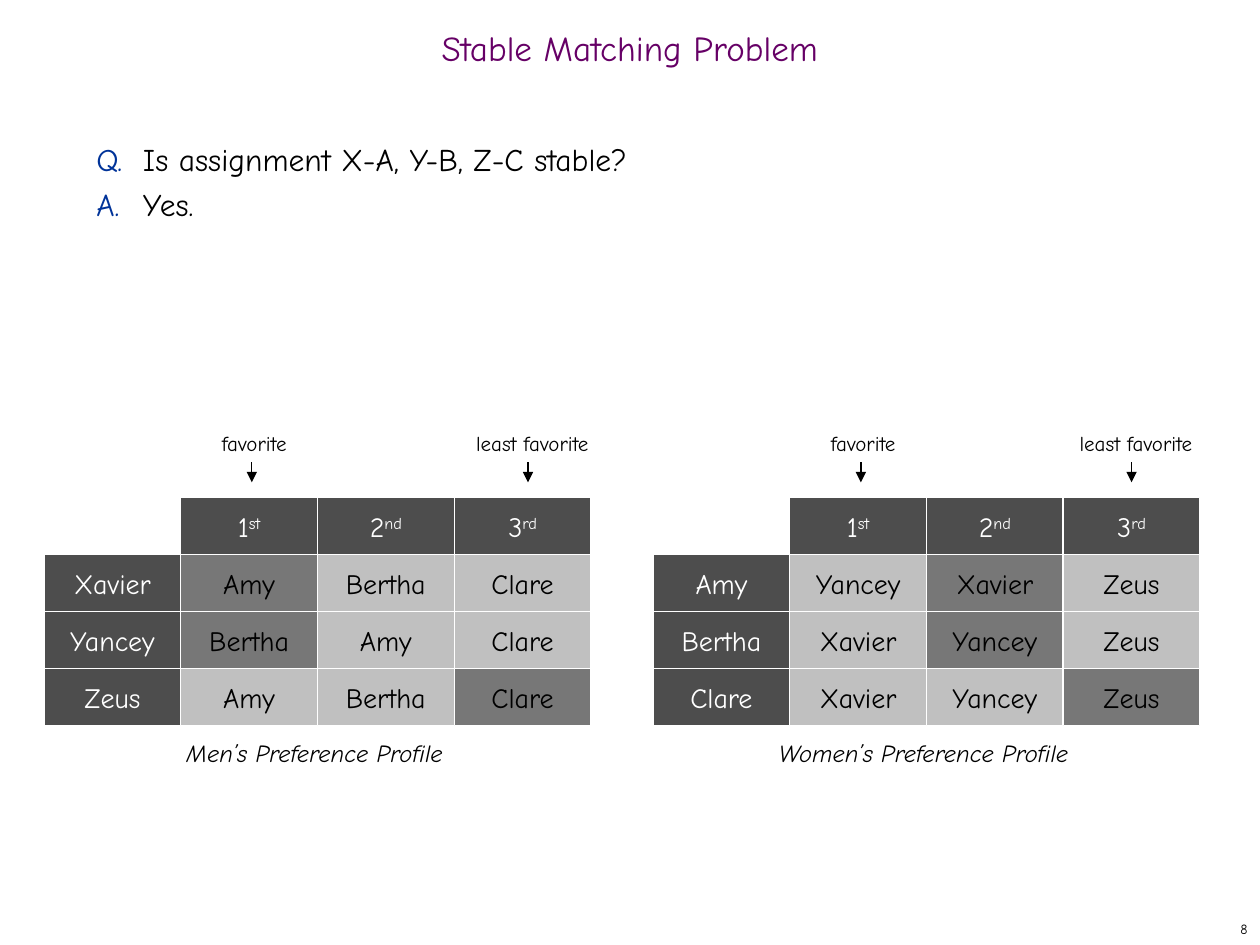
"""Build the Stable Matching Problem slide with both preference profiles."""
from dataclasses import dataclass

from lxml.etree import SubElement
from pptx import Presentation
from pptx.dml.color import RGBColor
from pptx.enum.shapes import MSO_CONNECTOR, MSO_SHAPE
from pptx.enum.text import MSO_ANCHOR, PP_ALIGN
from pptx.oxml.ns import qn
from pptx.shapes.base import BaseShape
from pptx.slide import Slide
from pptx.text.text import TextFrame, _Paragraph
from pptx.util import Inches, Pt

FONT = "Comic Neue"
COLORS = {
    "title": "660066",
    "prompt": "003399",
    "text": "000000",
    "header": "4D4D4D",
    "choice": "C0C0C0",
    "matched": "777777",
    "light": "FFFFFF",
}
SLIDE_COLUMNS, SLIDE_ROWS = 120, 90
UNIT = Inches(10) / SLIDE_COLUMNS
CELL_WIDTH, CELL_HEIGHT = 13.02, 5.43
PROFILE_TOP = 47.4
RANKS = (("1", "st"), ("2", "nd"), ("3", "rd"))


@dataclass(frozen=True)
class Area:
    """A rectangle in slide grid units."""
    left: float
    top: float
    width: float
    height: float

    def lengths(self) -> tuple[int, ...]:
        """Return the rectangle in EMU."""
        return tuple(round(part * UNIT) for part in (self.left, self.top, self.width, self.height))


@dataclass(frozen=True)
class Run:
    """A piece of text in one style."""
    text: str
    size: float
    color: str = "text"
    italic: bool = False
    superscript: bool = False


@dataclass(frozen=True)
class Choice:
    """One person's ranking and the rank index of the assigned partner."""
    person: str
    ranking: tuple[str, str, str]
    matched: int


@dataclass(frozen=True)
class Profile:
    """A preference profile; the last label and arrow are placed in cell columns."""
    left: float
    caption: str
    choices: tuple[Choice, ...]
    least_label: float
    least_arrow: float

    def area(self, column: float, row: float, columns: float = 1, rows: float = 1) -> Area:
        """Convert cell columns and rows to slide grid units."""
        return Area(self.left + column * CELL_WIDTH, PROFILE_TOP + row * CELL_HEIGHT,
                    columns * CELL_WIDTH, rows * CELL_HEIGHT)


PROFILES = (
    Profile(4.2, "Men’s Preference Profile", (
        Choice("Xavier", ("Amy", "Bertha", "Clare"), 0),
        Choice("Yancey", ("Bertha", "Amy", "Clare"), 0),
        Choice("Zeus", ("Amy", "Bertha", "Clare"), 2),
    ), 3.16, 3.54),
    Profile(62.2, "Women’s Preference Profile", (
        Choice("Amy", ("Yancey", "Xavier", "Zeus"), 1),
        Choice("Bertha", ("Xavier", "Yancey", "Zeus"), 1),
        Choice("Clare", ("Xavier", "Yancey", "Zeus"), 2),
    ), 3.12, 3.5),
)


def rgb(name: str) -> RGBColor:
    """Look up a named colour."""
    return RGBColor.from_string(COLORS[name])


def add_runs(paragraph: _Paragraph, *runs: Run) -> None:
    """Append styled runs to a paragraph."""
    for piece in runs:
        run = paragraph.add_run()
        run.text = piece.text
        run.font.name = FONT
        run.font.size = Pt(piece.size)
        run.font.italic = piece.italic
        run.font.color.rgb = rgb(piece.color)
        if piece.superscript:
            run.font._element.set("baseline", "30000")


def fill_line(shape: BaseShape, *runs: Run, align: PP_ALIGN = PP_ALIGN.CENTER,
              wrap: bool = False) -> _Paragraph:
    """Set one vertically centred line of text in a shape."""
    frame = shape.text_frame
    frame.word_wrap = wrap
    frame.vertical_anchor = MSO_ANCHOR.MIDDLE
    paragraph = frame.paragraphs[0]
    paragraph.alignment = align
    add_runs(paragraph, *runs)
    return paragraph


def add_question(frame: TextFrame) -> None:
    """Write the question and its answer with hanging prompts."""
    frame.word_wrap = True
    lines = (("Q.", "Is assignment X-A, Y-B, Z-C stable?"), ("A.", "Yes."))
    for index, (prompt, sentence) in enumerate(lines):
        paragraph = frame.add_paragraph() if index else frame.paragraphs[0]
        paragraph.line_spacing = Pt(26)
        indent = Inches(0.37)
        properties = paragraph._p.get_or_add_pPr()
        properties.set("marL", str(indent))
        properties.set("indent", str(-indent))
        add_runs(paragraph, Run(f"{prompt}\t", 18, "prompt"), Run(sentence, 18))


def add_cell(slide: Slide, area: Area, fill: str, *runs: Run) -> None:
    """Draw one cell of a profile."""
    cell = slide.shapes.add_shape(MSO_SHAPE.RECTANGLE, *area.lengths())
    cell.shadow.inherit = False
    cell.fill.solid()
    cell.fill.fore_color.rgb = rgb(fill)
    cell.line.color.rgb = rgb("light")
    cell.line.width = Pt(0.75)
    fill_line(cell, *runs)


def add_label(slide: Slide, area: Area, text: str) -> None:
    """Write a label above a rank column."""
    frame = slide.shapes.add_textbox(*area.lengths()).text_frame
    frame.word_wrap = False
    frame.margin_left = frame.margin_right = frame.margin_top = frame.margin_bottom = 0
    add_runs(frame.paragraphs[0], Run(text, 12))


def add_arrow(slide: Slide, area: Area) -> None:
    """Draw an arrow down the left edge of an area."""
    left, top, _, height = area.lengths()
    arrow = slide.shapes.add_connector(MSO_CONNECTOR.STRAIGHT, left, top, left, top + height)
    arrow.line.color.rgb = rgb("text")
    arrow.line.width = Pt(0.75)
    SubElement(arrow.line._get_or_add_ln(), qn("a:tailEnd"), type="triangle")
    SubElement(arrow._element.spPr, qn("a:effectLst"))


def add_profile(slide: Slide, profile: Profile) -> None:
    """Draw a preference profile with its labels and caption."""
    for column, (number, suffix) in enumerate(RANKS, start=1):
        add_cell(slide, profile.area(column, 0), "header", Run(number, 16, "light"),
                 Run(suffix, 16, "light", superscript=True))
    for row, choice in enumerate(profile.choices, start=1):
        add_cell(slide, profile.area(0, row), "header", Run(choice.person, 16, "light"))
        for rank, partner in enumerate(choice.ranking):
            fill = "matched" if rank == choice.matched else "choice"
            add_cell(slide, profile.area(rank + 1, row), fill, Run(partner, 16))
    for text, label, width, arrow in (
        ("favorite", 1.3, 0.49, 1.52),
        ("least favorite", profile.least_label, 0.84, profile.least_arrow),
    ):
        add_label(slide, profile.area(label, -1.17, width, 0.44), text)
        add_arrow(slide, profile.area(arrow, -0.62, 0, 0.35))
    caption = slide.shapes.add_textbox(*profile.area(-0.02, 3.98, 4).lengths())
    fill_line(caption, Run(profile.caption, 14, italic=True))


def main() -> None:
    """Assemble and save the slide."""
    deck = Presentation()
    deck.slide_width = round(SLIDE_COLUMNS * UNIT)
    deck.slide_height = round(SLIDE_ROWS * UNIT)
    slide = deck.slides.add_slide(deck.slide_layouts[6])
    title = slide.shapes.add_textbox(*Area(0, 2, SLIDE_COLUMNS, 6).lengths())
    fill_line(title, Run("Stable Matching Problem", 20, "title"), wrap=True).line_spacing = 0.7
    add_question(slide.shapes.add_textbox(*Area(8, 12, 103, 30).lengths()).text_frame)
    for profile in PROFILES:
        add_profile(slide, profile)
    number = slide.shapes.add_textbox(*Area(95, 87, 25, 3).lengths())
    fill_line(number, Run("8", 8), align=PP_ALIGN.RIGHT, wrap=True)
    deck.save("out.pptx")


if __name__ == "__main__":
    main()
